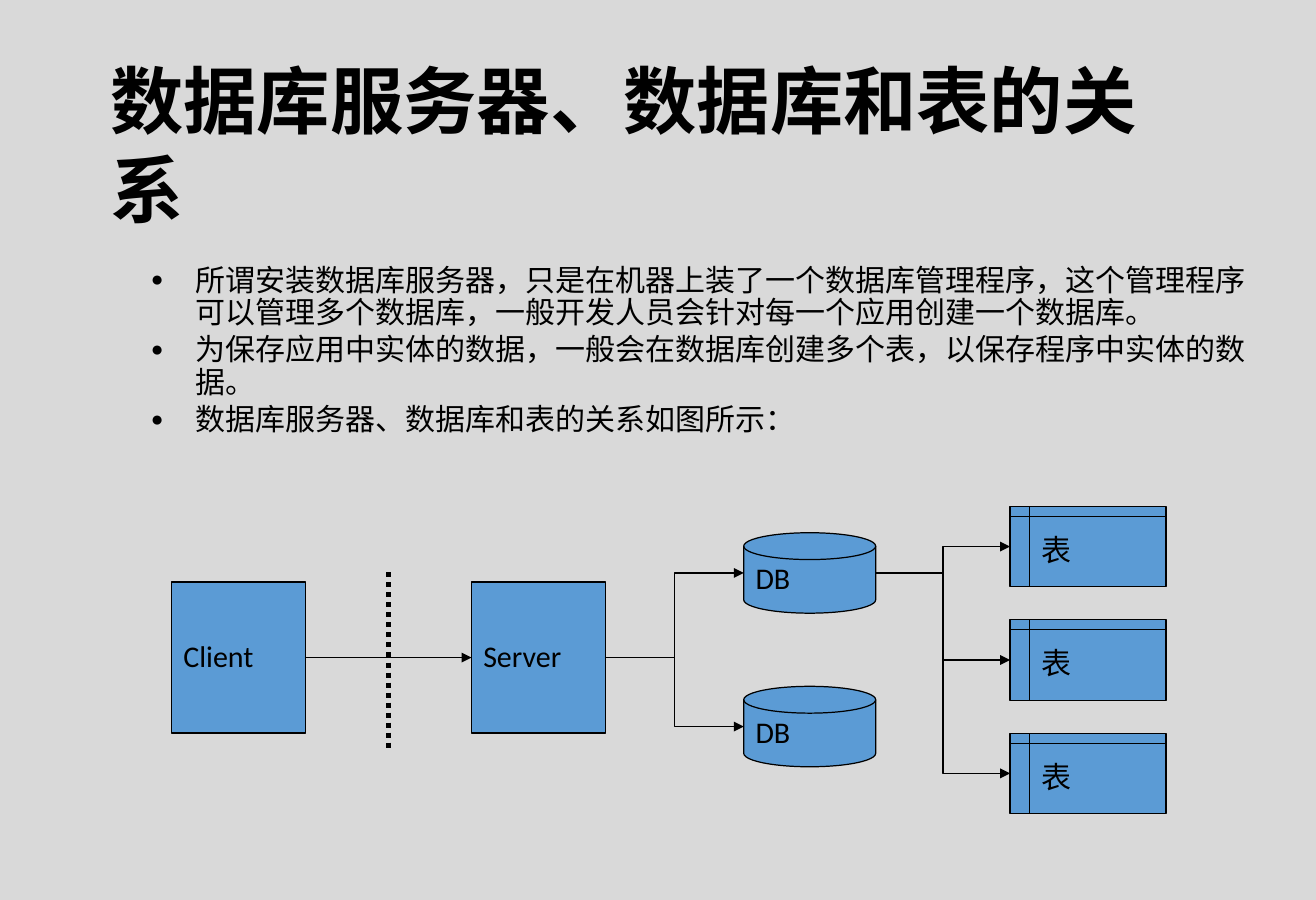
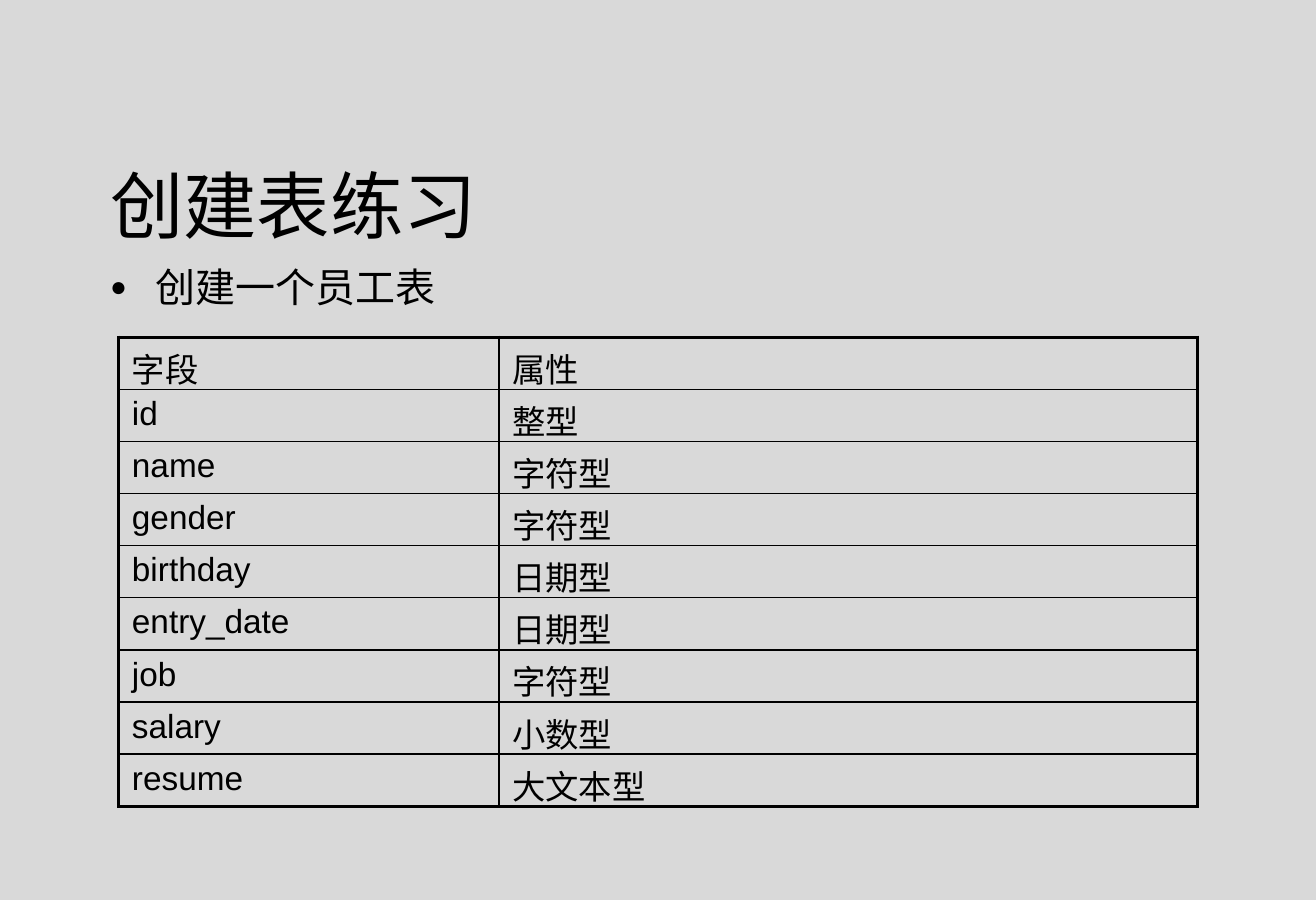
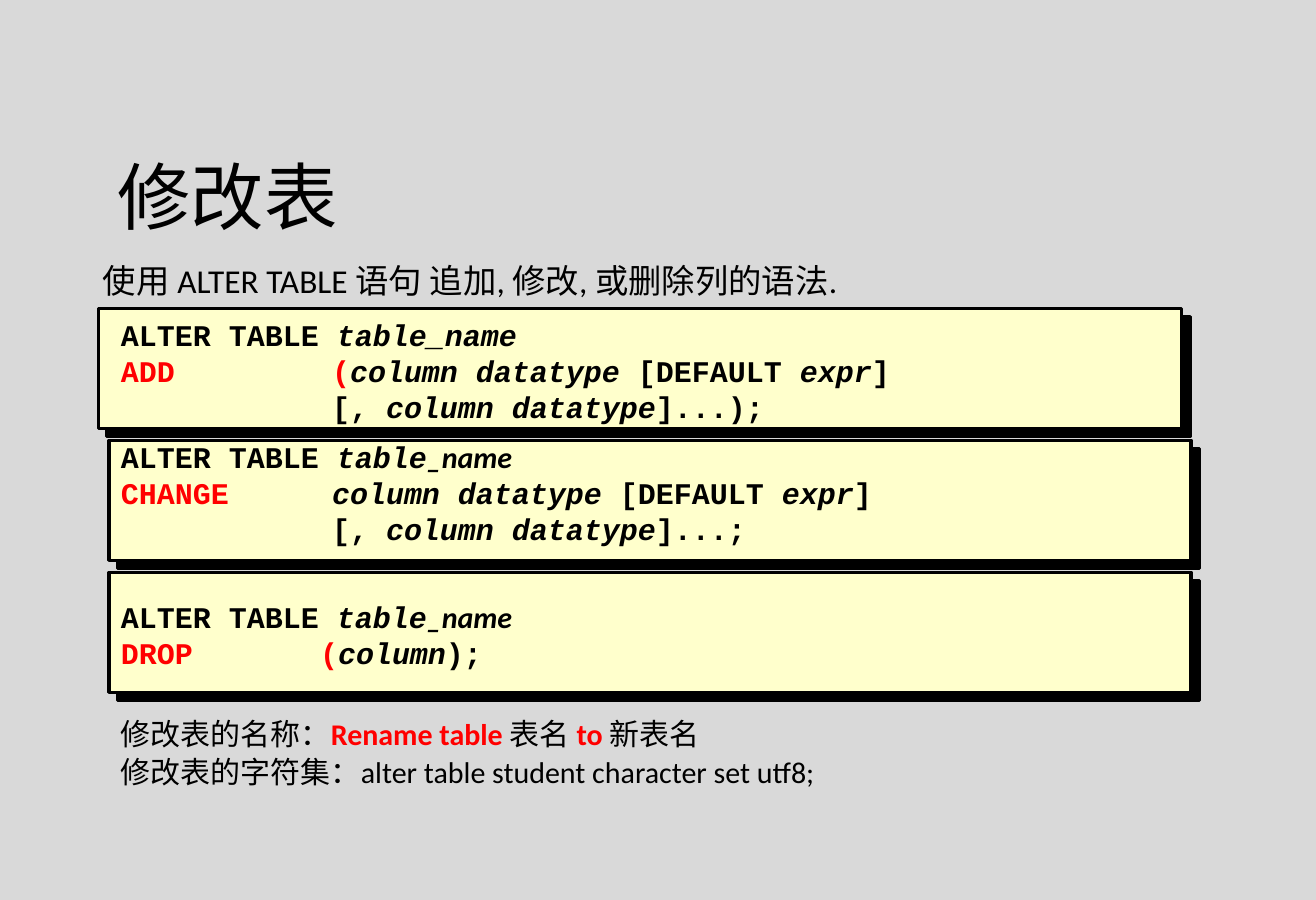
import pptx
import pptx.dml.color
import pptx.enum.dml
import pptx.enum.shapes
import pptx.enum.text
import pptx.oxml
import pptx.oxml.ns
import pptx.util
from lxml import etree

SHAPE = pptx.enum.shapes.MSO_SHAPE
LINK = pptx.enum.shapes.MSO_CONNECTOR
ANCHOR = pptx.enum.text.MSO_ANCHOR
qn = pptx.oxml.ns.qn

# Shared look
BACKDROP, INK, NODE, CODE, ACCENT = "D9D9D9", "000000", "5B9BD5", "FFFFCC", "FF0000"
BODY_FONT, TITLE_FONT, TABLE_FONT, CODE_FONT = "Calibri", "Noto Sans CJK SC", "Arial", "Courier New"


def rgb(code):
    return pptx.dml.color.RGBColor.from_string(code)


def set_font(paragraph, name, size, bold=False):
    """Font of a whole paragraph, for Latin and East Asian letters alike."""
    font = paragraph.font
    font.name, font.size, font.bold = name, pptx.util.Pt(size), bold
    font.color.rgb = rgb(INK)
    etree.SubElement(paragraph._p.pPr.find(qn("a:defRPr")), qn("a:ea"), typeface=name)


# The slide is a grid of 109.7 columns by 75 rows of square cells
deck = pptx.Presentation()
CELL = pptx.util.Inches(0.1)
deck.slide_width, deck.slide_height = round(109.7 * CELL), 75 * CELL
deck.slide_master.background.fill.solid()
deck.slide_master.background.fill.fore_color.rgb = rgb(BACKDROP)

# Slides and their titles
slides = []
for heading, bold, box in (
    ("数据库服务器、数据库和表的关系", True, (8.2, 3.6, 92.3, 15.7)),
    ("创建表练习", False, (8.2, 12.3, 92.3, 7.1)),
    ("修改表", False, (8.8, 11.6, 93.2, 7.9)),
):
    slide = deck.slides.add_slide(deck.slide_layouts[5])
    slides.append(slide)
    title = slide.shapes.title
    title.left, title.top, title.width, title.height = [round(n * CELL) for n in box]
    title.text = heading
    frame = title.text_frame
    frame.auto_size = pptx.enum.text.MSO_AUTO_SIZE.NONE
    frame.vertical_anchor = ANCHOR.TOP
    frame.margin_top = CELL
    paragraph = frame.paragraphs[0]
    paragraph.alignment = pptx.enum.text.PP_ALIGN.LEFT
    paragraph.line_spacing = pptx.util.Pt(53)
    set_font(paragraph, TITLE_FONT, 44, bold)
relations, exercise, altering = slides

# Body texts: a paragraph is a list of runs, every second run is highlighted
for slide, box, size, spacing, bulleted, paragraphs in (
    (relations, (11.6, 21.6, 94.2, 15.9), 18, 0.9, True, [
        ["所谓安装数据库服务器，只是在机器上装了一个数据库管理程序，这个管理程序可以管理多个数据库，一般开发人员会针对每一个应用创建一个数据库。"],
        ["为保存应用中实体的数据，一般会在数据库创建多个表，以保存程序中实体的数据。"],
        ["数据库服务器、数据库和表的关系如图所示："]]),
    (exercise, (8.2, 21.8, 93.6, 4.6), 24, 0.9, True, [["创建一个员工表"]]),
    (altering, (7.6, 21.7, 93.3, 3.9), 20, 0.85, False, [
        ["使用 ALTER TABLE 语句 追加, 修改, 或删除列的语法."]]),
    (altering, (9.1, 59.5, 90.7, 7.1), 18, 0.9, False, [
        ["修改表的名称：", "Rename table", " 表名", " to", " 新表名"],
        ["修改表的字符集：alter table student character set utf8;"]]),
):
    frame = slide.shapes.add_textbox(*[round(n * CELL) for n in box]).text_frame
    frame.word_wrap = True
    for number, runs in enumerate(paragraphs):
        paragraph = frame.add_paragraph() if number else frame.paragraphs[0]
        paragraph.line_spacing = spacing
        if number:
            paragraph.space_before = pptx.util.Pt(3)
        if bulleted:
            properties = paragraph._p.get_or_add_pPr()
            indent = round(3.75 * CELL)
            properties.set("marL", str(indent))
            properties.set("indent", str(-indent))
            etree.SubElement(properties, qn("a:buSzPct"), val="70000")
            etree.SubElement(properties, qn("a:buFont"), typeface=TABLE_FONT)
            etree.SubElement(properties, qn("a:buChar"), char="●")
        set_font(paragraph, BODY_FONT, size)
        for position, words in enumerate(runs):
            run = paragraph.add_run()
            run.text = words
            if position % 2:
                run.font.bold = True
                run.font.color.rgb = rgb(ACCENT)

# Slide 1: client, server, databases and tables
nodes = []
for kind, label, left, top, width, height in (
    (SHAPE.RECTANGLE, "Client", 14.3, 48.5, 11.2, 12.6),
    (SHAPE.RECTANGLE, "Server", 39.3, 48.5, 11.2, 12.6),
    *[(SHAPE.FLOWCHART_MAGNETIC_DISK, "DB", 62, 44.4 + 12.8 * row, 11, 6.7) for row in range(2)],
    *[(SHAPE.FLOWCHART_INTERNAL_STORAGE, "表", 84.2, 42.2 + 9.45 * row, 13, 6.7) for row in range(3)],
):
    node = relations.shapes.add_shape(kind, *[round(n * CELL) for n in (left, top, width, height)])
    node.shadow.inherit = False
    node.fill.solid()
    node.fill.fore_color.rgb = rgb(NODE)
    node.line.color.rgb = rgb(INK)
    node.line.width = pptx.util.Pt(0.75)
    node.text_frame.text = label
    node.text_frame.vertical_anchor = ANCHOR.MIDDLE
    paragraph = node.text_frame.paragraphs[0]
    paragraph.alignment = pptx.enum.text.PP_ALIGN.LEFT
    paragraph.line_spacing = 0.9
    set_font(paragraph, BODY_FONT, 18)
    nodes.append(node)

client, server, first_db, second_db, *tables = nodes
links = [(client, server, LINK.STRAIGHT)]
links += [(server, db, LINK.ELBOW) for db in (first_db, second_db)]
links += [(first_db, table, LINK.ELBOW) for table in tables]
for source, target, kind in links:
    arrow = relations.shapes.add_connector(
        kind, source.left + source.width, source.top + source.height // 2,
        target.left, target.top + target.height // 2)
    arrow.line.color.rgb = rgb(INK)
    arrow.line.width = pptx.util.Pt(0.75)
    etree.SubElement(arrow.line._get_or_add_ln(), qn("a:tailEnd"), type="triangle")
    etree.SubElement(arrow._element.spPr, qn("a:effectLst"))

# Dotted border between client and server
border = relations.shapes.add_connector(
    LINK.STRAIGHT, *[round(n * CELL) for n in (32.4, 47.7, 32.4, 62.7)])
border.line.color.rgb = rgb(INK)
border.line.width = pptx.util.Pt(3)
border.line.dash_style = pptx.enum.dml.MSO_LINE.ROUND_DOT
etree.SubElement(border._element.spPr, qn("a:effectLst"))

# Slide 2: fields of the employee table
fields = (
    ("字段", "属性"), ("id", "整型"), ("name", "字符型"), ("gender", "字符型"),
    ("birthday", "日期型"), ("entry_date", "日期型"), ("job", "字符型"),
    ("salary", "小数型"), ("resume", "大文本型"),
)
employee = exercise.shapes.add_table(
    len(fields), 2, *[round(n * CELL) for n in (9.9, 28.1, 89.9, 39.1)]).table
employee.first_row = employee.horz_banding = False
for column, width in zip(employee.columns, (31.7, 58.2)):
    column.width = round(width * CELL)
for row, texts in enumerate(fields):
    for column, words in enumerate(texts):
        cell = employee.cell(row, column)
        cell.text = words
        cell.margin_left = cell.margin_right = round(1.1 * CELL)
        if not words.isascii():
            cell.vertical_anchor = ANCHOR.BOTTOM
            cell.margin_bottom = 0
        set_font(cell.text_frame.paragraphs[0], TABLE_FONT, 20)
        # Thick frame outside, thin rules inside
        for side, outer in (("L", column == 0), ("R", column == 1),
                            ("T", row == 0), ("B", row == len(fields) - 1)):
            rule = etree.SubElement(cell._tc.get_or_add_tcPr(), qn("a:ln" + side),
                                    w=str(pptx.util.Pt(2.25 if outer else 1)))
            etree.SubElement(etree.SubElement(rule, qn("a:solidFill")), qn("a:srgbClr"), val=INK)
        cell.fill.background()

# Slide 3: statements; marks are r = red, i = italic, b = body font
statements = (
    (8.2, 90.3, 25.7, 17.6, (
        (("ALTER TABLE ", ""), ("table_name", "i")),
        (("ADD\t(", "r"), ("column datatype ", "i"), ("[DEFAULT ", ""), ("expr", "i"), ("]", "")),
        (("\t[, ", ""), ("column datatype", "i"), ("]...);", "")))),
    (9.1, 90.2, 35.9, 17.6, (
        (("ALTER TABLE ", ""), ("table", "i"), ("_name", "ib")),
        (("CHANGE\t", "r"), ("column datatype ", "i"), ("[DEFAULT ", ""), ("expr", "i"), ("]", "")),
        (("\t[, ", ""), ("column datatype", "i"), ("]...;", "")))),
    (9.1, 90.2, 47.7, 16.6, (
        (("ALTER TABLE ", ""), ("table", "i"), ("_name", "ib")),
        (("DROP\t(", "r"), ("column", "i"), (");", "")))),
)
for number, (left, width, text_top, tab, lines) in enumerate(statements):
    panel = altering.shapes.add_shape(
        SHAPE.RECTANGLE, *[round(n * CELL) for n in (left, 25.7 + 11 * number, width, 10)])
    panel.fill.solid()
    panel.fill.fore_color.rgb = rgb(CODE)
    panel.line.color.rgb = rgb(INK)
    panel.line.width = pptx.util.Pt(2)
    panel.shadow.inherit = False
    shadow = etree.SubElement(
        panel._element.spPr.find(qn("a:effectLst")), qn("a:outerShdw"),
        dist=str(pptx.util.Pt(7.1)), dir=str(45 * 60000), algn="ctr", rotWithShape="0")
    etree.SubElement(shadow, qn("a:srgbClr"), val=INK)

    frame = altering.shapes.add_textbox(
        *[round(n * CELL) for n in (9.1, text_top, 87.6, 10.3)]).text_frame
    frame.word_wrap = True
    frame.vertical_anchor = ANCHOR.MIDDLE
    for index, runs in enumerate(lines):
        paragraph = frame.add_paragraph() if index else frame.paragraphs[0]
        paragraph.line_spacing = pptx.util.Pt(21.6)
        stops = etree.SubElement(paragraph._p.get_or_add_pPr(), qn("a:tabLst"))
        etree.SubElement(stops, qn("a:tab"), pos=str(round(tab * CELL)), algn="l")
        set_font(paragraph, CODE_FONT, 18, True)
        for words, marks in runs:
            run = paragraph.add_run()
            run.text = words
            if "i" in marks:
                run.font.italic = True
            if "r" in marks:
                run.font.color.rgb = rgb(ACCENT)
            if "b" in marks:
                run.font.name = BODY_FONT

deck.save("out.pptx")
